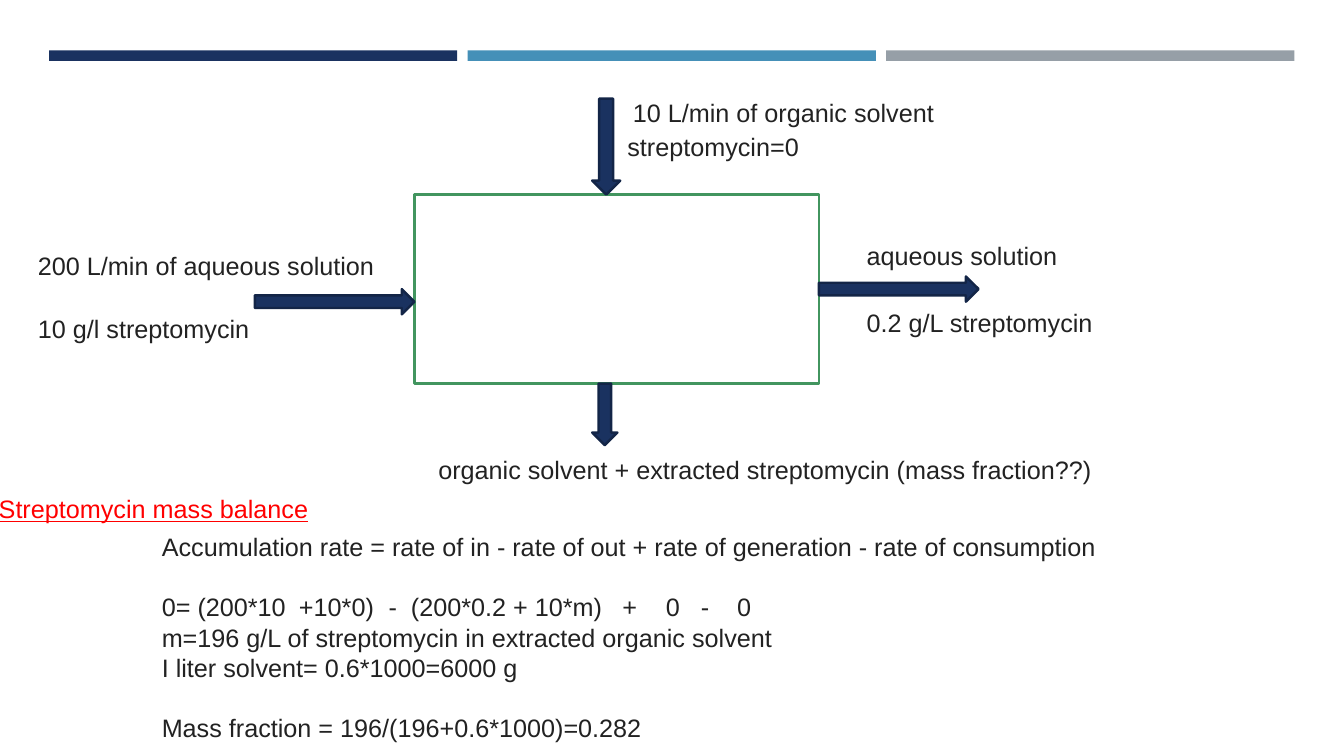
from pptx import Presentation
from pptx.dml.color import RGBColor
from pptx.enum.shapes import MSO_SHAPE
from pptx.oxml.ns import qn
from pptx.util import Pt
from lxml.etree import SubElement

NAVY = RGBColor(0x1A, 0x32, 0x60)
NAVY_EDGE = RGBColor(0x13, 0x25, 0x47)
BLUE = RGBColor(0x45, 0x90, 0xB8)
GRAY = RGBColor(0x96, 0x9F, 0xA7)
GREEN = RGBColor(0x42, 0x95, 0x5F)
WHITE = RGBColor(0xFF, 0xFF, 0xFF)
INK = RGBColor(0x22, 0x22, 0x22)
RED = RGBColor(0xFF, 0x00, 0x00)


class SlideBuilder:
    font_name = "Arial"
    font_size = Pt(18)
    line_height = Pt(21.6)
    line_width = Pt(1.75)

    def __init__(self, page):
        self.page = page

    def shape(self, kind, left, top, width, height, fill, edge=None):
        shape = self.page.shapes.add_shape(kind, Pt(left), Pt(top), Pt(width), Pt(height))
        shape.shadow.inherit = False
        shape.fill.solid()
        shape.fill.fore_color.rgb = fill
        if edge is None:
            shape.line.fill.background()
        else:
            shape.line.color.rgb = edge
            shape.line.width = self.line_width

    def arrow(self, kind, left, top, width, height):
        self.shape(kind, left, top, width, height, NAVY, NAVY_EDGE)

    def text(self, left, top, width, height, lines, color=INK, underline=None):
        box = self.page.shapes.add_textbox(Pt(left), Pt(top), Pt(width), Pt(height))
        frame = box.text_frame
        for index, (words, gap, stops) in enumerate(lines):
            para = frame.paragraphs[0] if index == 0 else frame.add_paragraph()
            para.text = words
            para.line_spacing = self.line_height
            if gap:
                para.space_before = Pt(gap)
            if stops:
                self.tabs(para, stops)
            para.font.name = self.font_name
            para.font.size = self.font_size
            para.font.color.rgb = color
            para.font.underline = underline
        frame.word_wrap = True

    def label(self, left, top, width, words, color=INK, underline=None):
        self.text(left, top, width, 28.8, [(words, 0, ())], color, underline)

    def tabs(self, para, stops):
        tab_list = SubElement(para._p.get_or_add_pPr(), qn("a:tabLst"))
        for stop in stops:
            SubElement(tab_list, qn("a:tab"), pos=str(Pt(stop)), algn="l")


def main():
    deck = Presentation()
    deck.slide_width, deck.slide_height = Pt(960), Pt(540)
    builder = SlideBuilder(deck.slides.add_slide(deck.slide_layouts[6]))

    for column, color in enumerate((NAVY, BLUE, GRAY)):
        builder.shape(MSO_SHAPE.RECTANGLE, 35 + 299 * column, 36, 291.6, 7.5, color)

    builder.shape(MSO_SHAPE.RECTANGLE, 296, 139, 289, 135, WHITE, GREEN)
    builder.arrow(MSO_SHAPE.DOWN_ARROW, 423, 70.5, 20, 68.5)
    builder.arrow(MSO_SHAPE.DOWN_ARROW, 423, 274, 18, 44)
    builder.arrow(MSO_SHAPE.RIGHT_ARROW, 182, 206.5, 114, 18)
    builder.arrow(MSO_SHAPE.RIGHT_ARROW, 585, 197.5, 114, 18)

    for left, top, width, words in (
        (20, 175, 264, "200 L/min of aqueous solution"),
        (20, 220, 180, "10 g/l streptomycin"),
        (445, 66, 236, "10 L/min of organic solvent"),
        (441, 90, 146, "streptomycin=0"),
        (612, 168, 160, "aqueous solution"),
        (612, 216, 186, "0.2 g/L streptomycin"),
        (306, 321, 490, "organic solvent + extracted streptomycin (mass fraction??)"),
    ):
        builder.label(left, top, width, words)

    blank_line = 21.6
    builder.text(108.5, 376, 692, 160, [
        ("Accumulation rate = rate of in - rate of out + rate of generation - rate of consumption", 0, ()),
        ("0= (200*10\t+10*0)\t-\t(200*0.2 + 10*m)\t+\t0\t-\t0", blank_line,
         (98, 162, 178, 329, 360, 385, 411)),
        ("m=196 g/L of streptomycin in extracted organic solvent", 0, ()),
        ("I liter solvent= 0.6*1000=6000 g", 0, ()),
        ("Mass fraction = 196/(196+0.6*1000)=0.282", blank_line, ()),
    ])
    builder.label(-8, 349, 243, "Streptomycin mass balance", RED, True)

    deck.save("out.pptx")


if __name__ == "__main__":
    main()
